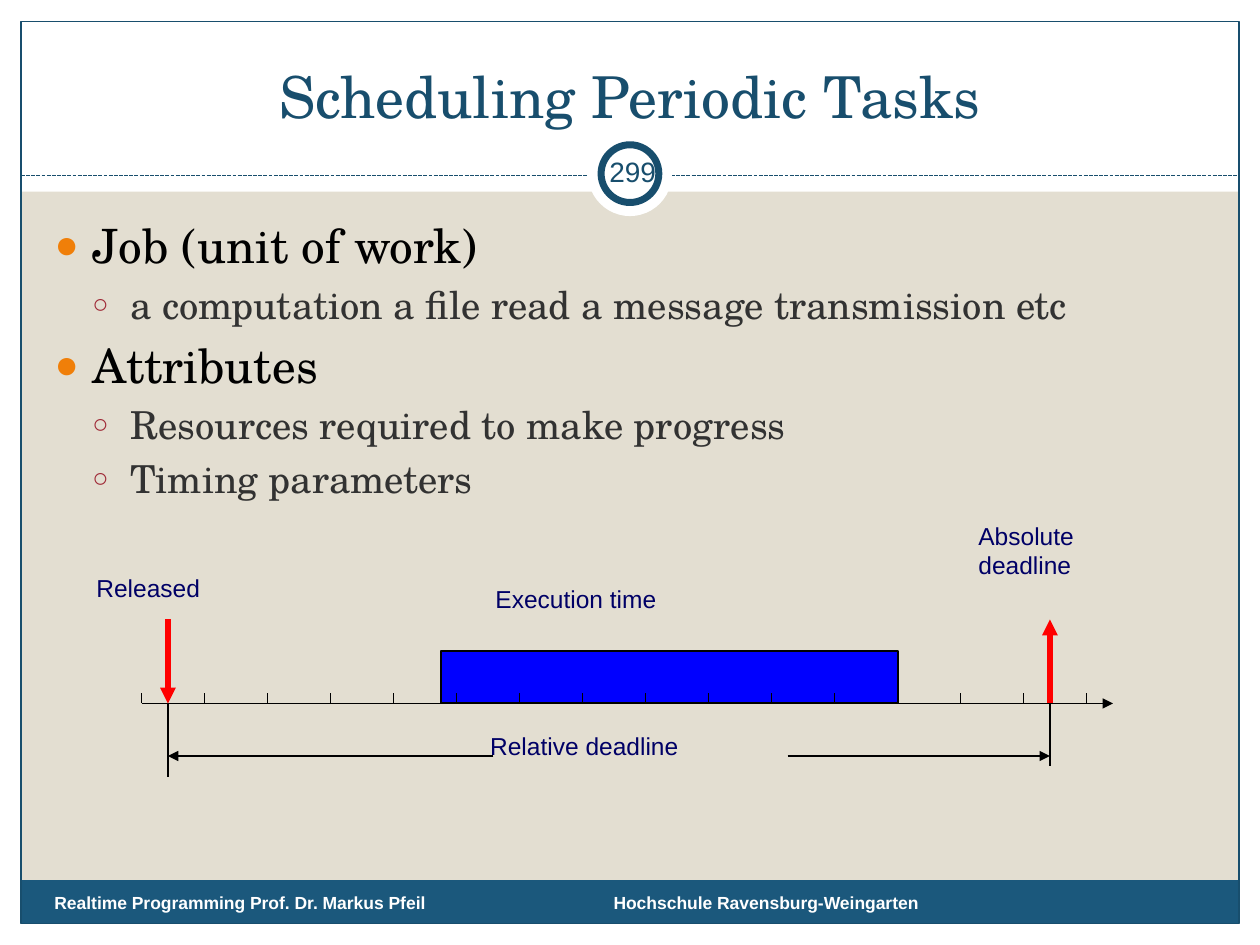
"""Build the slide on scheduling periodic tasks with its timing diagram."""
from lxml.etree import SubElement
from pptx import Presentation
from pptx.dml.color import RGBColor
from pptx.enum.dml import MSO_LINE
from pptx.enum.shapes import MSO_CONNECTOR, MSO_SHAPE
from pptx.enum.text import MSO_ANCHOR, MSO_AUTO_SIZE, PP_ALIGN
from pptx.oxml.ns import qn
from pptx.util import Pt

THEME = {
    "sand": "E3DED1", "white": "FFFFFF", "band": "1B587C", "navy": "184E6D",
    "black": "000000", "blue": "0000FF", "red": "FF0000",
    "title": {"name": "TeX Gyre Schola", "size": 33, "color": "184E6D"},
    "footer": {"name": "Arial", "size": 10, "color": "FFFFFF", "bold": True},
    "number": {"name": "Arial", "size": 16, "color": "184E6D"},
    "label": {"name": "Arial", "size": 14, "color": "000066"},
    "levels": [
        {"font": {"name": "TeX Gyre Schola", "size": 27, "color": "000000"},
         "bullet": "●", "bullet_color": "F07F09", "bullet_size": "85000"},
        {"font": {"name": "TeX Gyre Schola", "size": 22, "color": "323232"},
         "bullet": "○", "bullet_color": "9F2936", "bullet_size": "70000"},
    ],
}


def write_text(para, text, style):
    span = para.add_run()
    span.text = text
    values = {**style, "size": Pt(style["size"])}
    span.font.color.rgb = RGBColor.from_string(values.pop("color"))
    for name, value in values.items():
        setattr(span.font, name, value)


def draw_line(page, start, end, color="black", width=0.75, arrow=False):
    line = page.shapes.add_connector(
        MSO_CONNECTOR.STRAIGHT, *[Pt(value) for value in (*start, *end)])
    line.line.color.rgb = RGBColor.from_string(THEME[color])
    line.line.width = Pt(width)
    if arrow:
        SubElement(line.line._get_or_add_ln(), qn("a:tailEnd"), type="triangle")
    SubElement(line.element.spPr, qn("a:effectLst"))
    return line


deck = Presentation()
deck.slide_width, deck.slide_height = Pt(720), Pt(540)
page = deck.slides.add_slide(deck.slide_layouts[1])
page.background.fill.solid()
page.background.fill.fore_color.rgb = RGBColor.from_string(THEME["sand"])

draw_shapes = [
    (MSO_SHAPE.RECTANGLE, (0, 528, 720, 12), "white", None, 0),
    (MSO_SHAPE.RECTANGLE, (0, 0, 720, 109.5), "white", None, 0),
    (MSO_SHAPE.RECTANGLE, (0, 0, 12, 540), "white", None, 0),
    (MSO_SHAPE.RECTANGLE, (708, 0, 12, 540), "white", None, 0),
    (MSO_SHAPE.RECTANGLE, (11.75, 503, 695.75, 24.5), "band", None, 0),
    (MSO_SHAPE.RECTANGLE, (12, 12.25, 696, 515.5), None, "navy", 0.75),
    (MSO_SHAPE.OVAL, (336, 75.5, 48, 48), "white", None, 0),
    (MSO_SHAPE.OVAL, (343.5, 82.75, 33, 33), "white", "navy", 4),
    (MSO_SHAPE.RECTANGLE, (252, 372, 261, 30), "blue", "black", 1),
]
for kind, bounds, fill, outline, width in draw_shapes:
    if kind == MSO_SHAPE.OVAL and outline is None:
        divider = draw_line(page, (12, 100.5), (708, 100.5), "navy")
        divider.line.dash_style = MSO_LINE.SQUARE_DOT
    shape = page.shapes.add_shape(kind, *[Pt(value) for value in bounds])
    shape.shadow.inherit = False
    if fill:
        shape.fill.solid()
        shape.fill.fore_color.rgb = RGBColor.from_string(THEME[fill])
    else:
        shape.fill.background()
    if outline:
        shape.line.color.rgb = RGBColor.from_string(THEME[outline])
        shape.line.width = Pt(width)
    else:
        shape.line.fill.background()

title, body = page.placeholders
for box, bounds, anchor in [
    (title, (24, 18, 672, 60), MSO_ANCHOR.BOTTOM),
    (body, (24, 120, 669.5, 360), MSO_ANCHOR.TOP),
]:
    page.shapes.element.append(box.element)
    for name, value in zip(("left", "top", "width", "height"), bounds):
        setattr(box, name, Pt(value))
    box.text_frame.auto_size = MSO_AUTO_SIZE.NONE
    box.text_frame.vertical_anchor = anchor
title.text_frame.paragraphs[0].alignment = PP_ALIGN.CENTER
write_text(title.text_frame.paragraphs[0], "Scheduling Periodic Tasks", THEME["title"])

outline_items = [
    (0, "Job (unit of work)"),
    (1, "a computation a file read a message transmission etc"),
    (0, "Attributes"),
    (1, "Resources required to make progress"),
    (1, "Timing parameters"),
]
for index, (level, text) in enumerate(outline_items):
    frame = body.text_frame
    para = frame.add_paragraph() if index else frame.paragraphs[0]
    style = THEME["levels"][level]
    para.level = level
    properties = para._p.get_or_add_pPr()
    properties.set("marL", str(Pt(21.6 * (level + 1))))
    properties.set("indent", str(Pt(-21.6)))
    bullet_color = SubElement(properties, qn("a:buClr"))
    SubElement(bullet_color, qn("a:srgbClr"), val=style["bullet_color"])
    SubElement(properties, qn("a:buSzPct"), val=style["bullet_size"])
    SubElement(properties, qn("a:buFont"), typeface="Arial")
    SubElement(properties, qn("a:buChar"), char=style["bullet"])
    para.space_before = Pt(0.2 * style["font"]["size"] if index else 0)
    write_text(para, text, style["font"])

axis, released, deadline, span_level = 402, 96, 600, 432
draw_line(page, (81, axis), (624, axis))
for tick in range(16):
    draw_line(page, (81 + 36 * tick, 396), (81 + 36 * tick, axis))
draw_line(page, (618, axis), (636, axis), arrow=True)
draw_line(page, (released, axis), (released, 444))
draw_line(page, (deadline, axis), (deadline, 438))
draw_line(page, (450, span_level), (deadline, span_level), arrow=True)
draw_line(page, (282, span_level), (released, span_level), arrow=True)
draw_line(page, (released, 354), (released, axis), "red", 3, True)
draw_line(page, (deadline, axis), (deadline, 354), "red", 3, True)

labels = [
    ("Hochschule Ravensburg-Weingarten", (343.5, 509.75, 237, 16), "footer"),
    ("Realtime Programming Prof. Dr. Markus Pfeil", (24, 506, 282, 19.5), "footer"),
    ("299", (343.5, 80.75, 36, 34.5), "number"),
    ("Released", (48, 324, 114, 31), "label"),
    ("Absolute deadline", (552, 294, 96, 55.5), "label"),
    ("Relative deadline", (273, 414, 186, 31), "label"),
    ("Execution time", (276, 330, 214.5, 31), "label"),
]
for text, bounds, style in labels:
    box = page.shapes.add_textbox(*[Pt(value) for value in bounds])
    frame = box.text_frame
    frame.word_wrap = True
    para = frame.paragraphs[0]
    write_text(para, text, THEME[style])
    if style == "number":
        frame.vertical_anchor = MSO_ANCHOR.MIDDLE
        frame.margin_left = frame.margin_right = Pt(3.6)
        para.alignment = PP_ALIGN.CENTER
    if text.startswith("Hochschule"):
        para.line_spacing = 0.65

deck.save("out.pptx")
